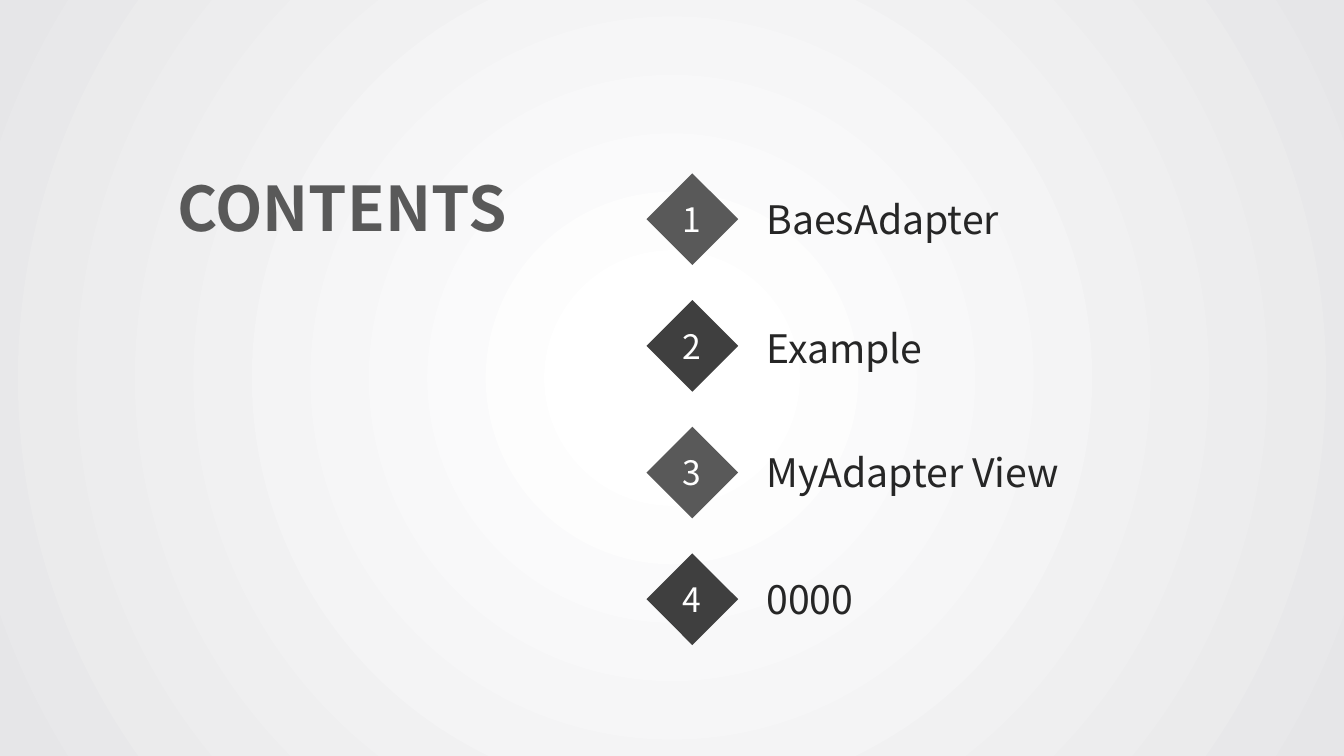
import pptx
import pptx.util
import pptx.dml.color
import pptx.enum.shapes
import pptx.enum.text
import lxml.etree

Color = pptx.dml.color.RGBColor
Align = pptx.enum.text.PP_ALIGN
Anchor = pptx.enum.text.MSO_ANCHOR
Fit = pptx.enum.text.MSO_AUTO_SIZE
Inch = pptx.util.Inches

WHITE = Color(0xFF, 0xFF, 0xFF)
MIST = Color(0xE6, 0xE6, 0xE8)
GREY = Color(0x59, 0x59, 0x59)
DARK = Color(0x3F, 0x3F, 0x3F)
INK = Color(0x26, 0x26, 0x26)
FONT = "Noto Sans CJK SC"
WIDE, HIGH = 13.33, 7.5
DRAW = "http://schemas.openxmlformats.org/drawingml/2006/main"

# Wording, label width and label drop below the top of its row
ITEMS = [("BaesAdapter", 2.62, 0.17), ("Example", 4.53, 0.19),
         ("MyAdapter View", 4.88, 0.17), ("0000", 2.62, 0.17)]


def write(frame, text, size, color, align, bold=False):
    """Put one formatted run into a text frame."""
    line = frame.paragraphs[0]
    line.alignment = align
    run = line.add_run()
    run.text = text
    font = run.font
    font.name, font.size, font.bold = FONT, pptx.util.Pt(size), bold
    font.color.rgb = color


def glow(slide):
    """Fill the background with a light that fades from the centre."""
    fill = slide.background.fill
    fill.gradient()
    for stop, place, color in zip(fill.gradient_stops, (0.09, 1), (WHITE, MIST)):
        stop.position = place
        stop.color.rgb = color
    grad = slide.element.find(f".//{{{DRAW}}}gradFill")
    for line in grad.findall(f"{{{DRAW}}}lin"):
        grad.remove(line)
    ring = lxml.etree.SubElement(grad, f"{{{DRAW}}}path", path="circle")
    lxml.etree.SubElement(ring, f"{{{DRAW}}}fillToRect",
                          l="50000", t="50000", r="50000", b="50000")


def head(slide, left, top, width, height):
    """Place the heading in the title placeholder."""
    title = slide.shapes.title
    title.left, title.top = Inch(left), Inch(top)
    title.width, title.height = Inch(width), Inch(height)
    frame = title.text_frame
    frame.auto_size = Fit.NONE
    frame.vertical_anchor = Anchor.TOP
    write(frame, "CONTENTS", 44, GREY, Align.LEFT, True)


def badge(slide, left, top, side, number):
    """Draw a numbered diamond, grey for odd and dark for even."""
    kind = pptx.enum.shapes.MSO_SHAPE.DIAMOND
    shape = slide.shapes.add_shape(kind, Inch(left), Inch(top), Inch(side), Inch(side))
    shape.shadow.inherit = False
    shape.fill.solid()
    shape.fill.fore_color.rgb = GREY if number % 2 else DARK
    shape.line.fill.background()
    shape.text_frame.vertical_anchor = Anchor.MIDDLE
    write(shape.text_frame, str(number), 24, WHITE, Align.CENTER)


def label(slide, left, top, width, text):
    """Write the name of one entry."""
    box = slide.shapes.add_textbox(Inch(left), Inch(top), Inch(width), Inch(0.57))
    box.text_frame.word_wrap = True
    write(box.text_frame, text, 28, INK, Align.LEFT)


def index(slide, left, top, height):
    """Stack the entries evenly, each a badge and a label."""
    side = 0.91
    step = (height - side) / (len(ITEMS) - 1)
    for row, (text, width, drop) in enumerate(ITEMS):
        level = top + row * step
        badge(slide, left, level, side, row + 1)
        label(slide, left + 1.2 * side, level + drop, width, text)


def main():
    """Build and save the contents slide."""
    deck = pptx.Presentation()
    deck.slide_width, deck.slide_height = Inch(WIDE), Inch(HIGH)
    slide = deck.slides.add_slide(deck.slide_layouts[5])
    glow(slide)
    head(slide, 0.1245 * WIDE, 0.2187 * HIGH, 0.275 * WIDE, 0.112 * HIGH)
    index(slide, 0.481 * WIDE, 0.2293 * HIGH, 0.624 * HIGH)
    deck.save("out.pptx")


main()
